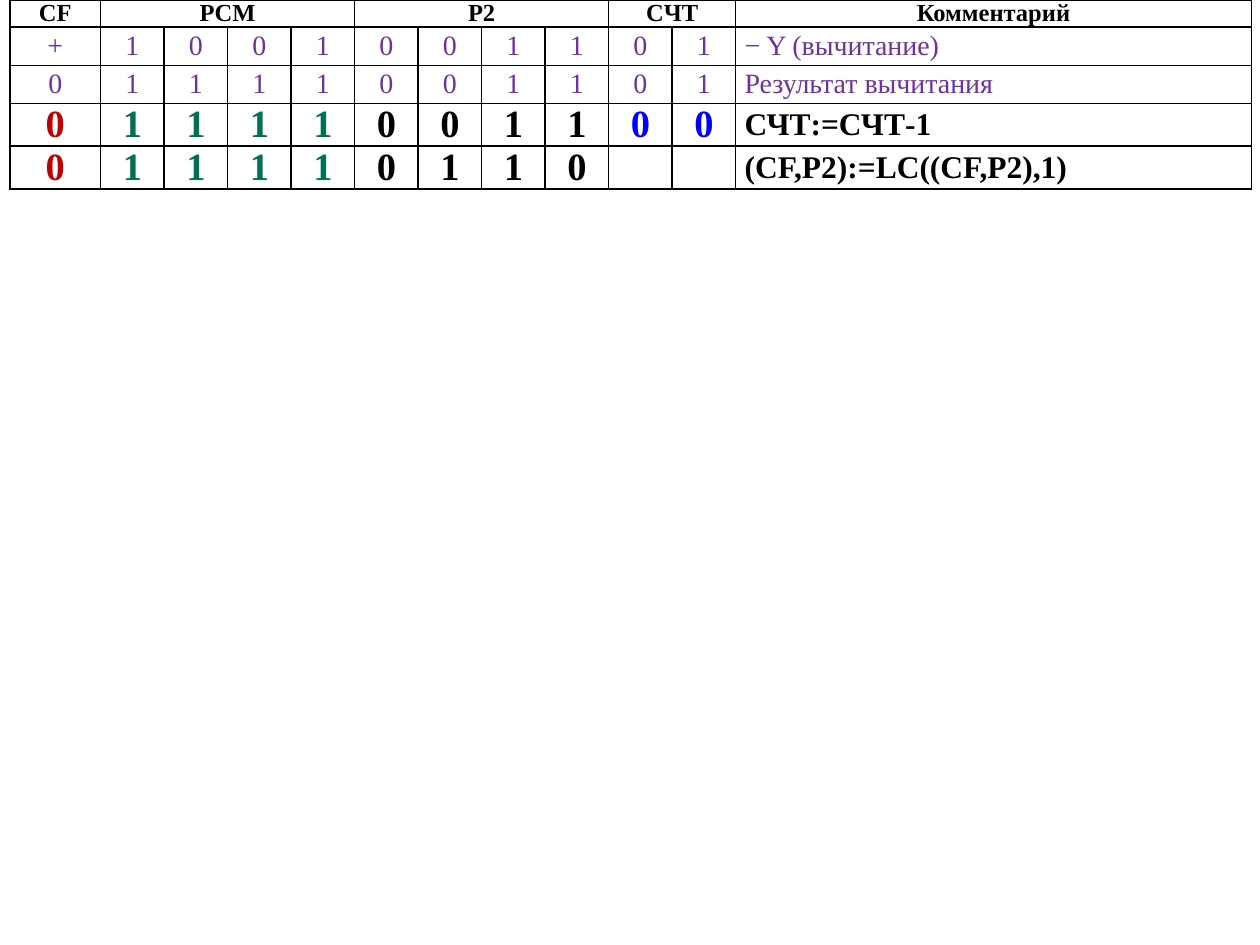
from lxml import etree
from pptx import Presentation
from pptx.dml.color import RGBColor
from pptx.enum.text import MSO_ANCHOR, PP_ALIGN
from pptx.oxml.ns import qn
from pptx.util import Cm, Pt

MID, TOP = MSO_ANCHOR.MIDDLE, MSO_ANCHOR.TOP
LEFT, CENTER = PP_ALIGN.LEFT, PP_ALIGN.CENTER
FONT = "Times New Roman"
BLACK, PURPLE = "000000", "7030A0"
BITS = ["C00000"] + ["007254"] * 4 + [BLACK] * 4 + ["0000FF"] * 2 + [BLACK]

HEADS = [("CF", 1), ("PCM", 4), ("P2", 4), ("CЧТ", 2), ("Комментарий", 1)]
ROWS = [
    ("+", "1001", "0011", "01", "− Y (вычитание)"),
    ("0", "1111", "0011", "01", "Результат вычитания"),
    ("0", "1111", "0011", "00", "СЧТ:=СЧТ-1"),
    ("0", "1111", "0110", "", "(CF,P2):=LC((CF,P2),1)"),
]
PLAIN = 2
WIDTHS = [1.83] + [1.28] * 10 + [10.4]
HEIGHTS = [0.38] + [0.77] * 4


def rgb(code):
    return RGBColor.from_string(code)


def border(cell):
    props = cell._tc.get_or_add_tcPr()
    for i, side in enumerate(("a:lnL", "a:lnR", "a:lnT", "a:lnB")):
        line = etree.Element(qn(side), w=str(Pt(1)))
        fill = etree.SubElement(line, qn("a:solidFill"))
        etree.SubElement(fill, qn("a:srgbClr"), val=BLACK)
        props.insert(i, line)


def write(cell, text, size, color, bold, align=CENTER, anchor=MID):
    cell.vertical_anchor = anchor
    cell.text_frame.text = text
    para = cell.text_frame.paragraphs[0]
    para.alignment = align
    para.space_after = Pt(1)
    for run in para.runs:
        font = run.font
        font.name, font.size, font.bold = FONT, Pt(size), bold
        font.color.rgb = rgb(color)


prs = Presentation()
prs.slide_width, prs.slide_height = Cm(25.4), Cm(19.05)
slide = prs.slides.add_slide(prs.slide_layouts[6])
frame = slide.shapes.add_table(len(HEIGHTS), len(WIDTHS), Cm(0.2), Cm(0),
                               Cm(sum(WIDTHS)), Cm(sum(HEIGHTS)))
table = frame.table
table.first_row = table.horz_banding = False
for col, width in zip(table.columns, WIDTHS):
    col.width = Cm(width)
for row, height in zip(table.rows, HEIGHTS):
    row.height = Cm(height)
for cell in table.iter_cells():
    cell.margin_left = cell.margin_right = Cm(0.18)
    cell.margin_top = cell.margin_bottom = 0
    cell.fill.background()
    border(cell)

start = 0
for head, span in HEADS:
    cell = table.cell(0, start)
    if span > 1:
        cell.merge(table.cell(0, start + span - 1))
    write(cell, head, 14, BLACK, True, anchor=TOP)
    start += span

for r, (flag, sums, reg, count, note) in enumerate(ROWS):
    bold = r >= PLAIN
    texts = [*flag, *sums, *reg, *count.ljust(2), note]
    for c, text in enumerate(texts):
        last = c == len(texts) - 1
        size = (18 if last else 22) if bold else 16
        write(table.cell(r + 1, c), text.strip(), size,
              BITS[c] if bold else PURPLE, bold, LEFT if last else CENTER)

prs.save("out.pptx")
